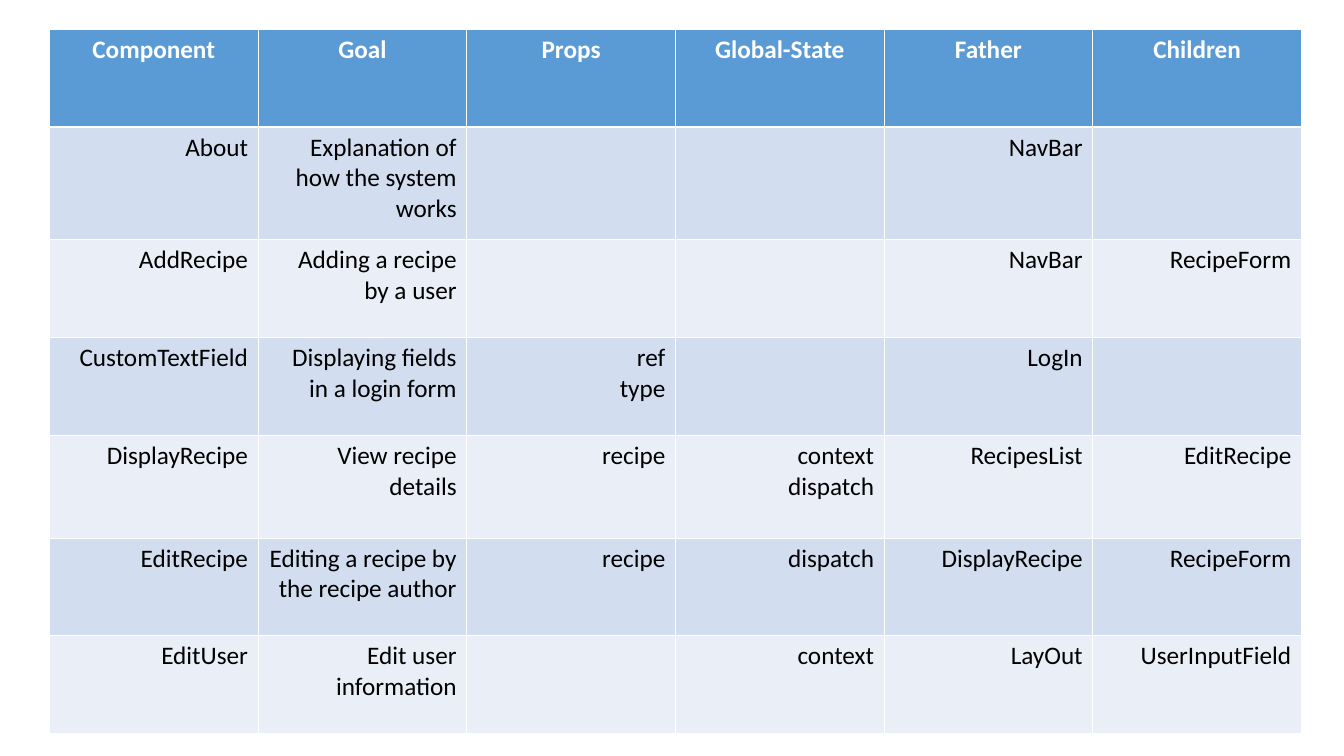
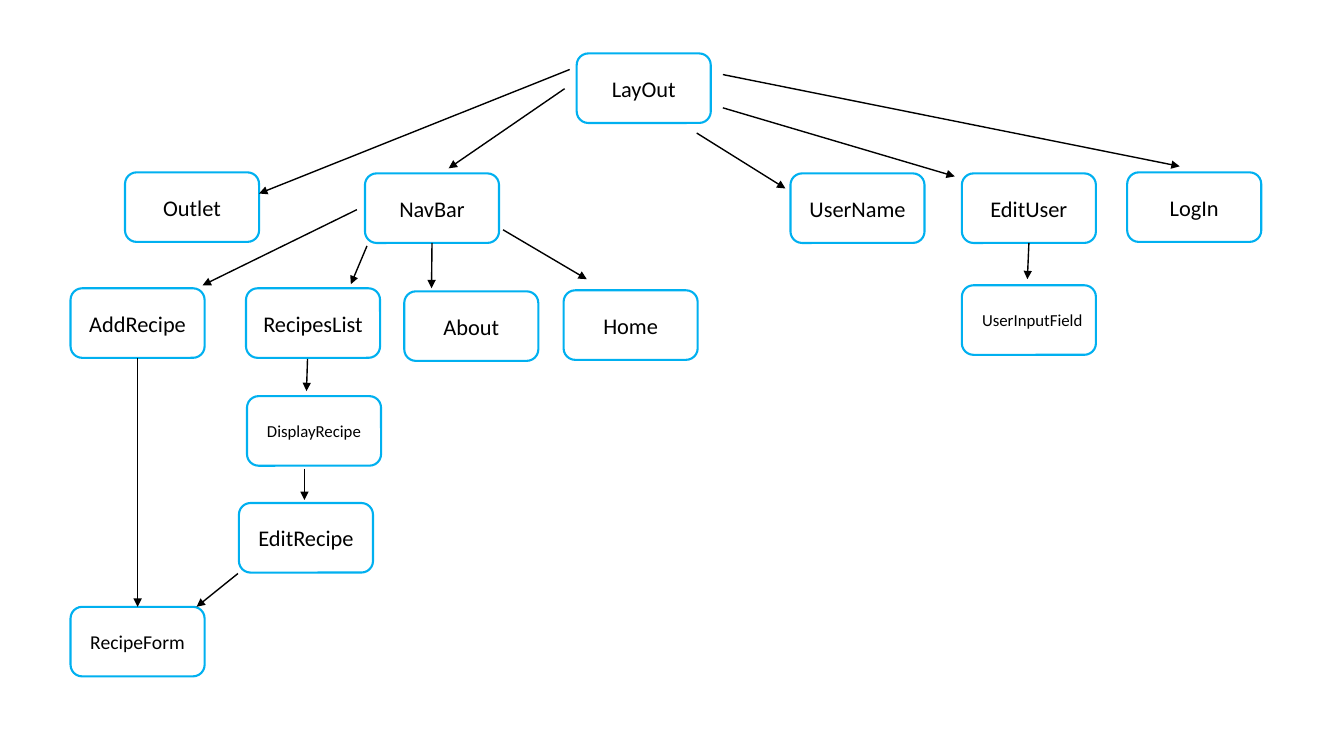
from lxml.etree import SubElement
from pptx import Presentation
from pptx.dml.color import RGBColor
from pptx.enum.shapes import MSO_CONNECTOR as CONNECTOR, MSO_SHAPE as SHAPE
from pptx.enum.text import MSO_ANCHOR as ANCHOR, PP_ALIGN as ALIGN
from pptx.oxml.ns import qn
from pptx.util import Pt

PX = 9144  # 100 px to the inch
FONT = "Calibri"
BLACK, WHITE = "000000", "FFFFFF"
HEADER_BLUE, BOX_BLUE = "5B9BD5", "00B0F0"
BANDS = ["D2DEEF", "EAEFF7"]
rgb = RGBColor.from_string


def write(frame, text, size=18, color=BLACK, bold=False, align=ALIGN.CENTER):
    """Put each line of text in its own right-to-left paragraph."""
    frame.text = text
    for paragraph in frame.paragraphs:
        paragraph.alignment = align
        paragraph._p.get_or_add_pPr().set("rtl", "1")
        for run in paragraph.runs:
            run.font.name = FONT
            run.font.size = Pt(size)
            run.font.bold = bold
            run.font.color.rgb = rgb(color)


prs = Presentation()
prs.slide_width, prs.slide_height = 1333 * PX, 750 * PX
blank = prs.slide_layouts[6]

# Component table
components = [
    ["Component", "Goal", "Props", "Global-State", "Father", "Children"],
    ["About", "Explanation of how the system works", "", "", "NavBar", ""],
    ["AddRecipe", "Adding a recipe by a user", "", "", "NavBar", "RecipeForm"],
    ["CustomTextField", "Displaying fields in a login form", "ref\ntype", "", "LogIn", ""],
    ["DisplayRecipe", "View recipe details", "recipe", "context\ndispatch",
     "RecipesList", "EditRecipe"],
    ["EditRecipe", "Editing a recipe by the recipe author", "recipe", "dispatch",
     "DisplayRecipe", "RecipeForm"],
    ["EditUser", "Edit user information", "", "context", "LayOut", "UserInputField"],
]
row_heights = [97, 112, 97, 97, 102, 97, 97]
col_width = 207

slide = prs.slides.add_slide(blank)
col_count = len(components[0])
table = slide.shapes.add_table(
    len(components), col_count, 49 * PX, 29 * PX,
    col_width * col_count * PX, sum(row_heights) * PX).table
for column in table.columns:
    column.width = col_width * PX
for r, (height, values) in enumerate(zip(row_heights, components)):
    table.rows[r].height = height * PX
    for c, value in enumerate(values):
        cell = table.cell(r, c)
        cell.fill.solid()
        if r == 0:
            cell.fill.fore_color.rgb = rgb(HEADER_BLUE)
            write(cell.text_frame, value, color=WHITE, bold=True)
        else:
            cell.fill.fore_color.rgb = rgb(BANDS[(r - 1) % 2])
            write(cell.text_frame, value, align=ALIGN.RIGHT)

# Component tree
box_width, box_height = 133, 69
box_places = {
    "LayOut": (572, 53),
    "Outlet": (124, 171), "NavBar": (362, 172), "UserName": (784, 172),
    "EditUser": (954, 172), "LogIn": (1118, 171),
    "AddRecipe": (70, 286), "RecipesList": (244, 286), "About": (401, 289),
    "Home": (559, 288), "UserInputField": (954, 283),
    "DisplayRecipe": (245, 393), "EditRecipe": (237, 499), "RecipeForm": (70, 602),
}
small_sizes = {"UserInputField": 12, "DisplayRecipe": 12, "RecipeForm": 14}
# Each end is a point (x, y) or a joint (box, side)
arrows = [
    ((565, 69), (257, 192)),
    ((560, 88), (445, 167)),
    ((691, 132), (779, 187)),
    ((717, 107), (947, 175)),
    ((717, 74), (1170, 165)),
    ((354, 208), (201, 283)),
    ((364, 244), (348, 282)),
    (("NavBar", 2), (428, 286)),
    ((499, 228), (582, 277)),
    (("EditUser", 2), (1019, 277)),
    ((305, 356), (304, 388)),
    ((302, 465), (302, 496)),
    ((236, 569), (195, 602)),
    (("AddRecipe", 2), ("RecipeForm", 0)),
]

slide = prs.slides.add_slide(blank)
boxes = {}
for name, (x, y) in box_places.items():
    box = slide.shapes.add_shape(
        SHAPE.ROUNDED_RECTANGLE, x * PX, y * PX, box_width * PX, box_height * PX)
    box.shadow.inherit = False
    box.fill.background()
    box.line.color.rgb = rgb(BOX_BLUE)
    box.line.width = Pt(1.5)
    box.text_frame.vertical_anchor = ANCHOR.MIDDLE
    write(box.text_frame, name, size=small_sizes.get(name, 16),
          align=ALIGN.RIGHT if name == "UserInputField" else ALIGN.CENTER)
    boxes[name] = box

for start, end in arrows:
    points = [box_places.get(place[0], place) for place in (start, end)]
    arrow = slide.shapes.add_connector(
        CONNECTOR.STRAIGHT, *[value * PX for point in points for value in point])
    if start[0] in boxes:
        arrow.begin_connect(boxes[start[0]], start[1])
    if end[0] in boxes:
        arrow.end_connect(boxes[end[0]], end[1])
    arrow.line.color.rgb = rgb(BLACK)
    arrow.line.width = Pt(1)
    SubElement(arrow.line._get_or_add_ln(), qn("a:tailEnd"), type="triangle")
    SubElement(arrow._element.spPr, qn("a:effectLst"))

prs.save("out.pptx")
